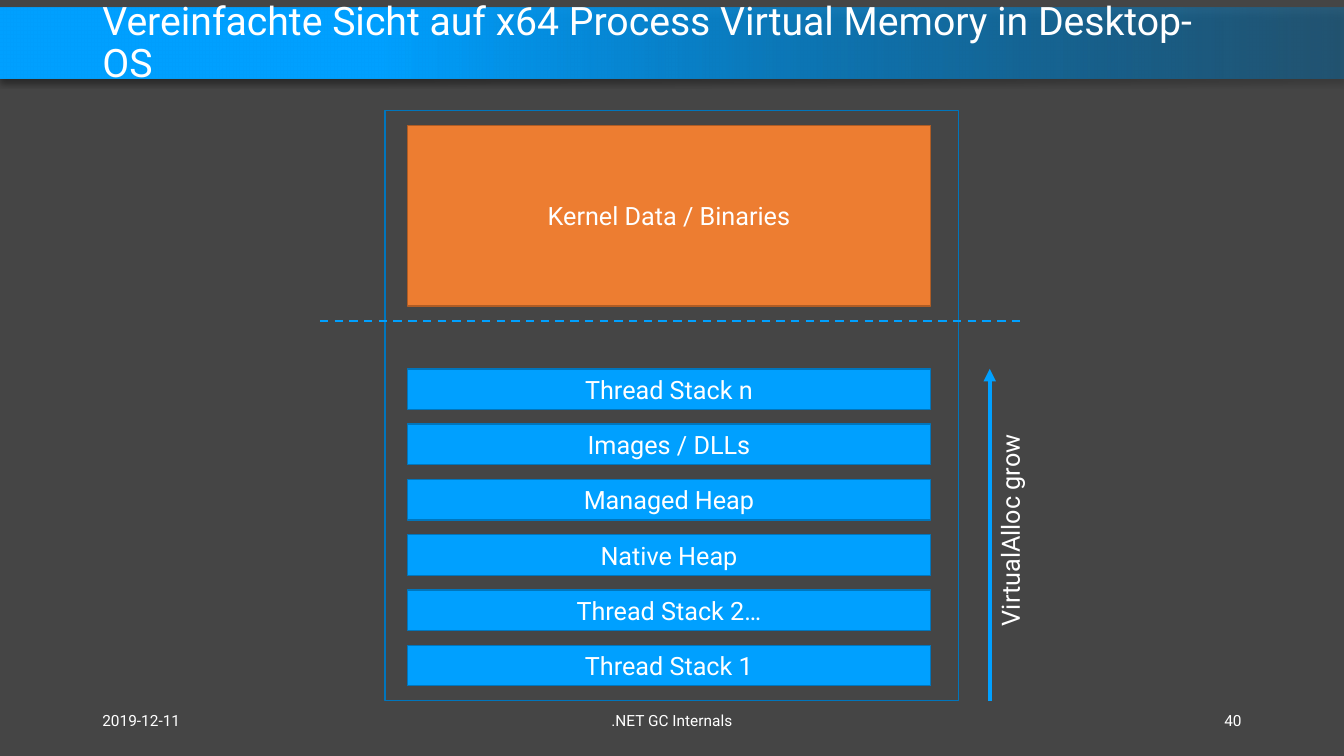
"""Build a slide showing the simplified layout of x64 process virtual memory."""
import dataclasses

import pptx
import pptx.dml.color
import pptx.enum.dml
import pptx.enum.shapes
import pptx.enum.text
import pptx.oxml
import pptx.oxml.ns
import pptx.util

Pt = pptx.util.Pt
ALIGN = pptx.enum.text.PP_ALIGN
ANCHOR = pptx.enum.text.MSO_ANCHOR
NS = pptx.oxml.ns.nsdecls("a")


@dataclasses.dataclass(frozen=True)
class Theme:
    font: str = "Roboto"
    background: str = "454545"
    text: str = "FFFFFF"
    accent: str = "00A0FF"
    border: str = "0076BD"
    banner_end: str = "0078BF"
    kernel: str = "ED7D31"
    kernel_border: str = "AF5C24"
    title_size: float = 28
    label_size: float = 18
    footer_size: float = 11


def rgb(value):
    return pptx.dml.color.RGBColor.from_string(value)


class SlideBuilder:
    def __init__(self, slide, theme):
        self.slide = slide
        self.theme = theme
        fill = slide.background.fill
        fill.solid()
        fill.fore_color.rgb = rgb(theme.background)

    def label(self, frame, text, size, align, anchor=ANCHOR.MIDDLE):
        frame.vertical_anchor = anchor
        paragraph = frame.paragraphs[0]
        paragraph.alignment = align
        run = paragraph.add_run()
        run.text = text
        run.font.name = self.theme.font
        run.font.size = Pt(size)
        run.font.color.rgb = rgb(self.theme.text)
        return paragraph

    def rectangle(self, left, top, width, height, fill=None, border=None):
        shape = self.slide.shapes.add_shape(
            pptx.enum.shapes.MSO_SHAPE.RECTANGLE, Pt(left), Pt(top), Pt(width), Pt(height))
        shape.shadow.inherit = False
        if fill:
            shape.fill.solid()
            shape.fill.fore_color.rgb = rgb(fill)
        else:
            shape.fill.background()
        if border:
            shape.line.color.rgb = rgb(border)
            shape.line.width = Pt(1)
        else:
            shape.line.fill.background()
        return shape

    def banner(self, left, top, width, height):
        shape = self.rectangle(left, top, width, height)
        shape.fill.gradient()
        shape.fill.gradient_angle = 180
        first, last = shape.fill.gradient_stops
        first.position, first.color.rgb = 0, rgb(self.theme.banner_end)
        last.position, last.color.rgb = 0.72, rgb(self.theme.accent)
        color = shape.element.spPr.find(".//" + pptx.oxml.ns.qn("a:srgbClr"))
        color.append(pptx.oxml.parse_xml(f'<a:alpha {NS} val="40000"/>'))
        effects = shape.element.spPr.find(pptx.oxml.ns.qn("a:effectLst"))
        effects.append(pptx.oxml.parse_xml(
            f'<a:outerShdw {NS} blurRad="{Pt(4)}" dist="{Pt(3)}" dir="5400000" algn="t" '
            'rotWithShape="0"><a:srgbClr val="000000"><a:alpha val="40000"/></a:srgbClr>'
            '</a:outerShdw>'))

    def title(self, text, left, top, width, height):
        heading = self.slide.shapes.title
        self.slide.shapes.element.append(heading.element)
        heading.left, heading.top = Pt(left), Pt(top)
        heading.width, heading.height = Pt(width), Pt(height)
        heading.text_frame.auto_size = pptx.enum.text.MSO_AUTO_SIZE.NONE
        paragraph = self.label(heading.text_frame, text, self.theme.title_size, ALIGN.LEFT)
        paragraph.line_spacing = 0.9

    def block(self, text, left, top, width, height, fill, border):
        shape = self.rectangle(left, top, width, height, fill, border)
        self.label(shape.text_frame, text, self.theme.label_size, ALIGN.CENTER)

    def footer(self, text, left, width, align):
        box = self.slide.shapes.add_textbox(Pt(left), Pt(500.5), Pt(width), Pt(28.75))
        box.text_frame.word_wrap = True
        self.label(box.text_frame, text, self.theme.footer_size, align)

    def vertical_label(self, text, left, top, width, height):
        box = self.slide.shapes.add_textbox(Pt(left), Pt(top), Pt(width), Pt(height))
        frame = box.text_frame
        frame.word_wrap = False
        frame.auto_size = pptx.enum.text.MSO_AUTO_SIZE.SHAPE_TO_FIT_TEXT
        self.label(frame, text, self.theme.label_size, ALIGN.LEFT, ANCHOR.TOP)
        box.element.txBody.bodyPr.set("vert", "vert270")

    def line(self, start, end, width, dashed=False, arrow=False):
        connector = self.slide.shapes.add_connector(
            pptx.enum.shapes.MSO_CONNECTOR.STRAIGHT, *map(Pt, start + end))
        connector.line.color.rgb = rgb(self.theme.accent)
        connector.line.width = Pt(width)
        if dashed:
            connector.line.dash_style = pptx.enum.dml.MSO_LINE.DASH
        if arrow:
            outline = connector.element.spPr.find(pptx.oxml.ns.qn("a:ln"))
            outline.append(pptx.oxml.parse_xml(f'<a:tailEnd {NS} type="triangle"/>'))
        connector.element.spPr.append(pptx.oxml.parse_xml(f"<a:effectLst {NS}/>"))


def main():
    presentation = pptx.Presentation()
    presentation.slide_width, presentation.slide_height = Pt(960), Pt(540)
    theme = Theme()
    builder = SlideBuilder(
        presentation.slides.add_slide(presentation.slide_layouts[5]), theme)

    builder.banner(0, 5.75, 960, 50.4)
    builder.title("Vereinfachte Sicht auf x64 Process Virtual Memory in Desktop-OS",
                  66, 11.5, 828, 39.6)
    builder.footer("2019-12-11", 66, 216, ALIGN.LEFT)
    builder.footer(".NET GC Internals", 318, 324, ALIGN.CENTER)
    builder.footer("40", 678, 216, ALIGN.RIGHT)

    block_left, block_width = 291, 373.7
    builder.rectangle(275, 79, 409.7, 421.2, border=theme.border)
    builder.block("Kernel Data / Binaries", block_left, 89.5, block_width, 129,
                  theme.kernel, theme.kernel_border)

    regions = ["Thread Stack n", "Images / DLLs", "Managed Heap",
               "Native Heap", "Thread Stack 2…", "Thread Stack 1"]
    regions_top, pitch = 263.5, 39.47
    for index, region in enumerate(regions):
        builder.block(region, block_left, regions_top + index * pitch, block_width, 29,
                      theme.accent, theme.border)

    growth_left = 707
    builder.line((growth_left, 500.4), (growth_left, regions_top), 3, arrow=True)
    builder.vertical_label("VirtualAlloc grow", growth_left, 309.6, 36, 144.7)
    builder.line((228.5, 229), (731.5, 229), 1.5, dashed=True)

    presentation.save("out.pptx")


if __name__ == "__main__":
    main()
